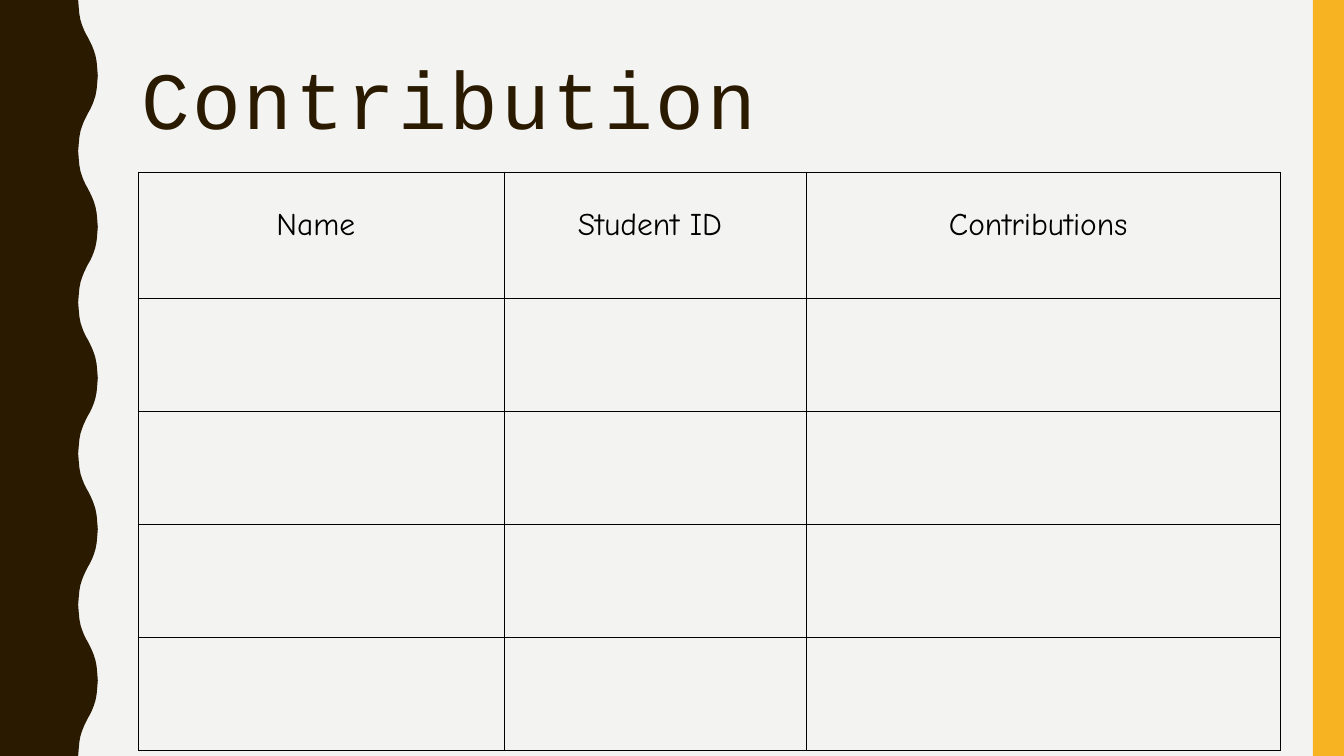
from dataclasses import dataclass

from pptx import Presentation
from pptx import util as u
from pptx.dml.color import RGBColor
from pptx.enum import shapes, text
from pptx.oxml import parse_xml
from pptx.oxml.ns import nsdecls


@dataclass
class Theme:
    paper: str = "F3F3F2"
    brown: str = "2A1A00"
    amber: str = "F8B323"
    ink: str = "000000"
    title_font: str = "Courier New"
    body_font: str = "Comic Neue"
    title_size: int = 116
    body_size: int = 45
    rule: float = 1


def write(tf, words, font, size, color, align=text.PP_ALIGN.LEFT, tracking=0):
    p = tf.paragraphs[0]
    p.alignment = align
    r = p.add_run()
    r.text = words
    r.font.name = font
    r.font.size = u.Pt(size)
    r.font.color.rgb = RGBColor.from_string(color)
    if tracking:
        r.font._element.set("spc", str(tracking * 100))


class Deck:
    def __init__(self, slide, theme):
        self.s = slide
        self.t = theme
        fill = slide.background.fill
        fill.solid()
        fill.fore_color.rgb = RGBColor.from_string(theme.paper)

    def paint(self, sp, color):
        sp.shadow.inherit = False
        sp.fill.solid()
        sp.fill.fore_color.rgb = RGBColor.from_string(color)
        sp.line.fill.background()

    def bar(self, x, y, w, h, color):
        sp = self.s.shapes.add_shape(
            shapes.MSO_SHAPE.RECTANGLE, u.Cm(x), u.Cm(y), u.Cm(w), u.Cm(h))
        self.paint(sp, color)

    def outline(self, points, color):
        pts = [(u.Cm(x), u.Cm(y)) for x, y in points]
        fb = self.s.shapes.build_freeform(*pts[0], scale=1.0)
        fb.add_line_segments(pts[1:], close=True)
        self.paint(fb.convert_to_shape(), color)

    def title(self, words, x, y, w, h):
        tf = self.s.shapes.add_textbox(
            u.Cm(x), u.Cm(y), u.Cm(w), u.Cm(h)).text_frame
        tf.word_wrap = True
        tf.margin_left = tf.margin_right = u.Cm(0.15)
        tf.margin_top = u.Cm(0.3)
        write(tf, words, self.t.title_font, self.t.title_size, self.t.brown,
              tracking=4)

    def border(self, cell):
        tc_pr = cell._tc.get_or_add_tcPr()
        for i, side in enumerate(("lnL", "lnR", "lnT", "lnB")):
            tc_pr.insert(i, parse_xml(
                f'<a:{side} {nsdecls("a")} w="{u.Pt(self.t.rule)}"><a:solidFill>'
                f'<a:srgbClr val="{self.t.ink}"/></a:solidFill></a:{side}>'))

    def table(self, headers, x, y, widths, heights):
        tb = self.s.shapes.add_table(
            len(heights), len(widths), u.Cm(x), u.Cm(y),
            u.Cm(sum(widths)), u.Cm(sum(heights))).table
        tb.first_row = tb.horz_banding = False
        for col, w in zip(tb.columns, widths):
            col.width = u.Cm(w)
        for row, h in zip(tb.rows, heights):
            row.height = u.Cm(h)
        for cell in tb.iter_cells():
            cell.fill.background()
            self.border(cell)
        for i, words in enumerate(headers):
            cell = tb.cell(0, i)
            cell.margin_left = cell.margin_right = u.Cm(0.13)
            cell.margin_top, cell.margin_bottom = u.Cm(1.8), 0
            write(cell.text_frame, words, self.t.body_font, self.t.body_size,
                  self.t.ink, align=text.PP_ALIGN.CENTER)


def wavy_edge(base, depth, half, count):
    """Points of a wave: a quarter profile, mirrored and repeated."""
    quarter = [(0, 0), (0.03, 0.38), (0.06, 0.71), (0.12, 1.02),
               (0.2, 1.27), (0.29, 1.5), (0.39, 1.71), (0.5, 1.9)]
    rise = quarter + [(depth - x, half - y) for x, y in quarter[-2::-1]]
    return [(base + (depth - x if i % 2 else x), i * half + y)
            for i in range(count) for x, y in rise]


WIDTH, HEIGHT = 67.74, 38.1
prs = Presentation()
prs.slide_width, prs.slide_height = u.Cm(WIDTH), u.Cm(HEIGHT)
deck = Deck(prs.slides.add_slide(prs.slide_layouts[6]), Theme())

# Side decoration
edge = wavy_edge(base=3.94, depth=0.99, half=HEIGHT / 10, count=10)
deck.outline([(0, 0), *edge, (0, HEIGHT)], deck.t.brown)
deck.bar(WIDTH - 1.57, 0, 1.57, HEIGHT, deck.t.amber)

# Heading and contribution table
deck.title("Contribution", 6.96, 2.13, 56.54, 8.28)
deck.table(["Name\u00a0", "Student ID\u00a0", "Contributions\u00a0"],
           6.96, 8.66, widths=[18.44, 15.24, 23.9],
           heights=[6.35] + [5.7] * 4)

prs.save("out.pptx")
